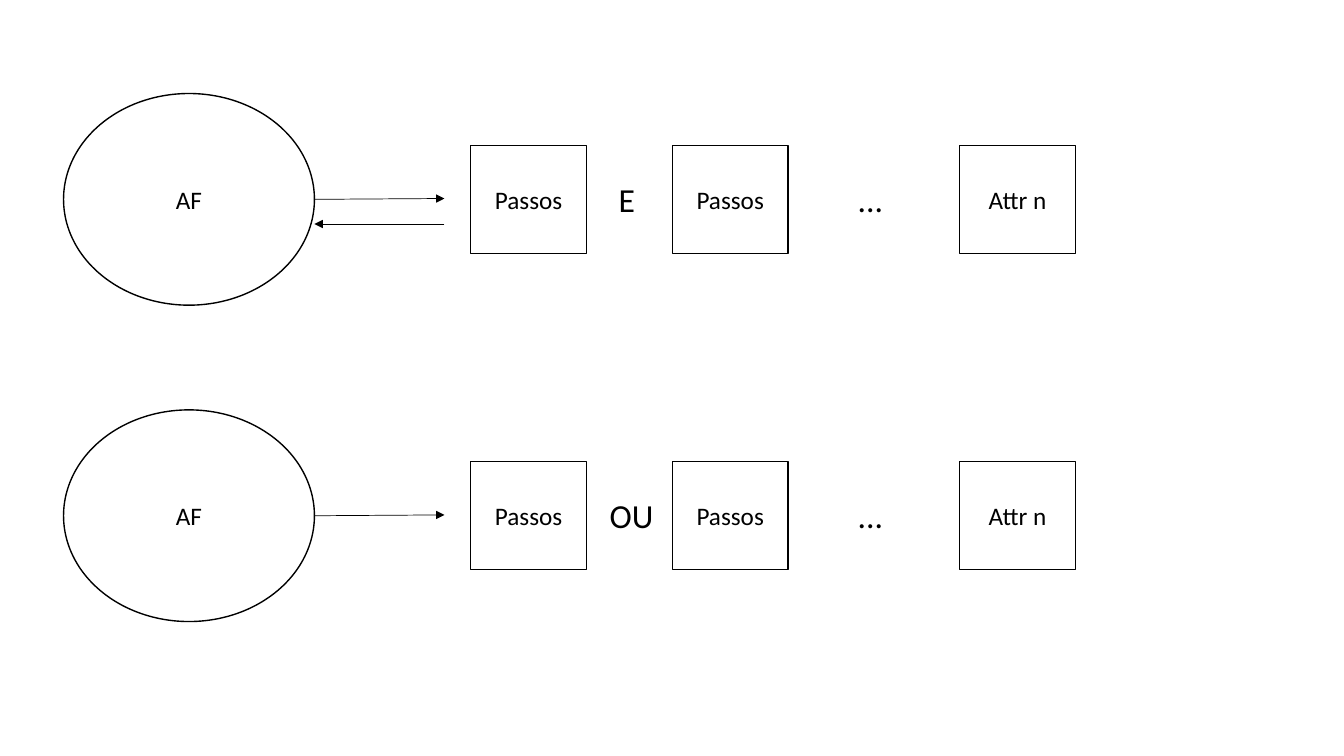
from lxml.etree import SubElement
from pptx import Presentation
from pptx.dml.color import RGBColor
from pptx.enum.shapes import MSO_CONNECTOR, MSO_SHAPE
from pptx.enum.text import MSO_ANCHOR, MSO_AUTO_SIZE, PP_ALIGN
from pptx.oxml.ns import qn
from pptx.util import Pt

BLACK = RGBColor(0, 0, 0)
WHITE = RGBColor(255, 255, 255)

prs = Presentation()
prs.slide_width, prs.slide_height = Pt(960), Pt(540)
s = prs.slides.add_slide(prs.slide_layouts[6])


def write(sp, text, size):
    tf = sp.text_frame
    tf.text = text
    font = tf.paragraphs[0].runs[0].font
    font.name, font.size = "Calibri", Pt(size)
    font.color.rgb = BLACK
    return tf


def add_arrow(x1, y1, x2, y2):
    line = s.shapes.add_connector(
        MSO_CONNECTOR.STRAIGHT, Pt(x1), Pt(y1), Pt(x2), Pt(y2))
    line.line.color.rgb = BLACK
    line.line.width = Pt(0.5)
    SubElement(line.line._get_or_add_ln(), qn("a:tailEnd"), type="triangle")
    SubElement(line._element.spPr, qn("a:effectLst"))


AF_LEFT, AF_WIDTH, AF_HEIGHT = 45.4, 179.2, 151.2
AF_RIGHT, ARROW_END = AF_LEFT + AF_WIDTH, 317.5
BOX_WIDTH, BOX_HEIGHT = 82.8, 77.2
LABEL_HEIGHT = 36.3

rows = [(142.4, "E", 434.9, 26.6), (368.4, "OU", 428.4, 51.8)]

for middle, operator, operator_left, operator_width in rows:
    nodes = [
        (MSO_SHAPE.OVAL, "AF", AF_LEFT, AF_WIDTH, AF_HEIGHT),
        (MSO_SHAPE.RECTANGLE, "Passos", 336.2, BOX_WIDTH, BOX_HEIGHT),
        (MSO_SHAPE.RECTANGLE, "Passos", 480.2, BOX_WIDTH, BOX_HEIGHT),
        (MSO_SHAPE.RECTANGLE, "Attr n", 685.4, BOX_WIDTH, BOX_HEIGHT),
    ]
    for kind, text, left, width, height in nodes:
        sp = s.shapes.add_shape(
            kind, Pt(left), Pt(middle - height / 2), Pt(width), Pt(height))
        sp.shadow.inherit = False
        sp.fill.solid()
        sp.fill.fore_color.rgb = WHITE
        sp.line.color.rgb = BLACK
        sp.line.width = Pt(1)
        tf = write(sp, text, 18)
        tf.vertical_anchor = MSO_ANCHOR.MIDDLE
        tf.paragraphs[0].alignment = PP_ALIGN.CENTER

    labels = [(operator, operator_left, operator_width), ("...", 605.5, 37.4)]
    for text, left, width in labels:
        sp = s.shapes.add_textbox(
            Pt(left), Pt(middle - LABEL_HEIGHT / 2), Pt(width), Pt(LABEL_HEIGHT))
        tf = write(sp, text, 24)
        tf.word_wrap = True
        tf.auto_size = MSO_AUTO_SIZE.SHAPE_TO_FIT_TEXT

    add_arrow(AF_RIGHT, middle, ARROW_END, middle - 0.6)

return_y = rows[0][0] + 17.6
add_arrow(ARROW_END, return_y, AF_RIGHT, return_y)

prs.save("out.pptx")
